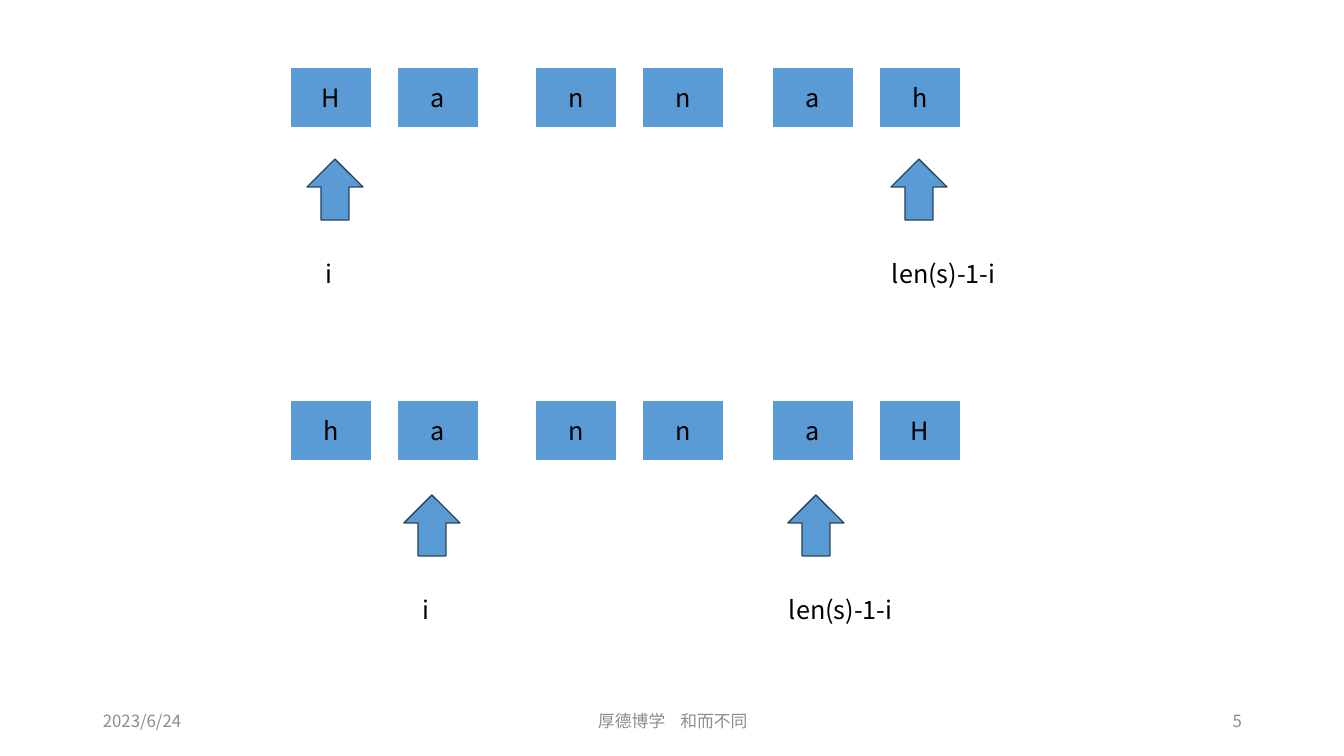
from lxml import etree
from pptx import Presentation
from pptx.dml.color import RGBColor
from pptx.enum.shapes import MSO_SHAPE as Shape
from pptx.enum.text import MSO_ANCHOR as Anchor, PP_ALIGN as Align
from pptx.oxml.ns import qn
from pptx.util import Pt

# Each step: letters, top of boxes, top of arrows, left edges of the two arrows
STEPS = [
    {"letters": "Hannah", "box_top": 67, "arrow_top": 159, "arrows": (307, 891)},
    {"letters": "hannaH", "box_top": 400, "arrow_top": 495, "arrows": (404, 788)},
]
# Label under each arrow: text, offset from the arrow's left edge, width
POINTERS = [("i", 9, 38), ("len(s)-1-i", -9, 126)]
# Footer: text, left, width, alignment
FOOTER = [
    ("2023/6/24", 93, 302, Align.LEFT),
    ("厚德博学    和而不同", 446, 454, Align.CENTER),
    ("5", 950, 302, Align.RIGHT),
]

COLORS = {"blue": "5B9BD5", "outline": "28445D", "white": "FFFFFF",
          "black": "000000", "gray": "8C8C8C"}
FONT = "Noto Sans CJK SC"
PX = 914400 / 100.8
PAIR_LEFTS = (290, 535, 772)
PAIR_STEP = 107
BOX_SIZE = (82, 61)
ARROW_SIZE = (56, 61)
LABEL_DROP = 94
LABEL_HEIGHT = 40
FOOTER_TOP = 701


def emu(*lengths):
    return [round(length * PX) for length in lengths]


def color(name):
    return RGBColor.from_string(COLORS[name])


def write(shape, text, size, color_name, align, anchor):
    frame = shape.text_frame
    frame.word_wrap = True
    frame.vertical_anchor = anchor
    paragraph = frame.paragraphs[0]
    paragraph.alignment = align
    run = paragraph.add_run()
    run.text = text
    run.font.size = Pt(size)
    run.font.color.rgb = color(color_name)
    run.font.name = FONT
    east_asian = etree.SubElement(run.font._element, qn("a:ea"))
    east_asian.set("typeface", FONT)


def add_figure(slide, kind, left, top, size, line_color, line_width):
    shape = slide.shapes.add_shape(kind, *emu(left, top, *size))
    shape.shadow.inherit = False
    shape.fill.solid()
    shape.fill.fore_color.rgb = color("blue")
    shape.line.color.rgb = color(line_color)
    shape.line.width = Pt(line_width)
    return shape


def add_label(slide, text, left, top, width, size, color_name, align, anchor):
    label = slide.shapes.add_textbox(*emu(left, top, width, LABEL_HEIGHT))
    write(label, text, size, color_name, align, anchor)


def add_step(slide, step):
    """Draw one row of letters with its two pointers."""
    for index, letter in enumerate(step["letters"]):
        pair, second = divmod(index, 2)
        left = PAIR_LEFTS[pair] + second * PAIR_STEP
        box = add_figure(slide, Shape.RECTANGLE, left, step["box_top"],
                         BOX_SIZE, "white", 1.5)
        write(box, letter, 18, "black", Align.CENTER, Anchor.MIDDLE)
    top = step["arrow_top"]
    for left, (text, offset, width) in zip(step["arrows"], POINTERS):
        add_figure(slide, Shape.UP_ARROW, left, top, ARROW_SIZE, "outline", 1)
        add_label(slide, text, left + offset, top + LABEL_DROP, width,
                  18, "black", Align.LEFT, Anchor.TOP)


def main():
    presentation = Presentation()
    presentation.slide_width, presentation.slide_height = emu(1344, 756)
    slide = presentation.slides.add_slide(presentation.slide_layouts[6])
    for step in STEPS:
        add_step(slide, step)
    for text, left, width, align in FOOTER:
        add_label(slide, text, left, FOOTER_TOP, width,
                  12, "gray", align, Anchor.MIDDLE)
    presentation.save("out.pptx")


if __name__ == "__main__":
    main()
